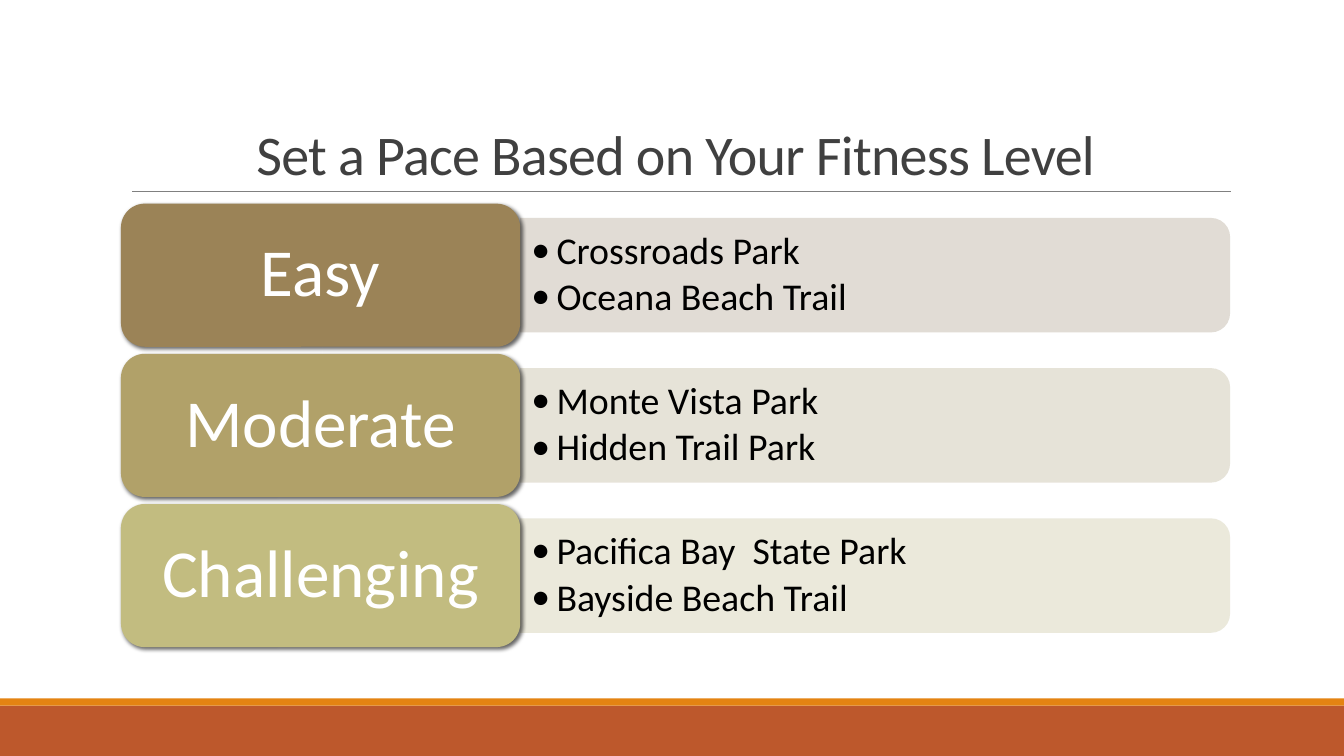
from lxml import etree
from pptx import Presentation
from pptx import util as u
from pptx.dml import color
from pptx.enum import shapes, text
from pptx.oxml import ns

WIDE, HIGH = 13.33, 7.5
FONT = "Calibri"
LEVELS = [
    ("Easy", "9B8357", "DED9D1", ["Crossroads Park", "Oceana Beach Trail"]),
    ("Moderate", "B1A169", "E4E0D4", ["Monte Vista Park", "Hidden Trail Park"]),
    ("Challenging", "C2BC80", "E9E7D8", ["Pacifica Bay  State Park", "Bayside Beach Trail"]),
]


def rgb(code):
    return color.RGBColor.from_string(code)


def add(node, tag, **attrs):
    return etree.SubElement(node, ns.qn(tag), attrs)


def block(slide, kind, box, fill):
    shape = slide.shapes.add_shape(kind, *map(u.Inches, box))
    shape.shadow.inherit = False
    shape.fill.solid()
    shape.fill.fore_color.rgb = rgb(fill)
    shape.line.fill.background()
    return shape


def style(para, size, code):
    para.line_spacing = 0.9
    for run in para.runs:
        run.font.name = FONT
        run.font.size = u.Pt(size)
        run.font.color.rgb = rgb(code)


def setup(frame, side, edge):
    frame.word_wrap = True
    frame.auto_size = text.MSO_AUTO_SIZE.NONE
    frame.vertical_anchor = text.MSO_ANCHOR.MIDDLE
    frame.margin_left = frame.margin_right = u.Inches(side)
    frame.margin_top = frame.margin_bottom = u.Inches(edge)


def footer(slide, top):
    rect = shapes.MSO_SHAPE.RECTANGLE
    block(slide, rect, (0, top + 0.07, WIDE, HIGH - top - 0.07), "BD582C")
    block(slide, rect, (0, top, WIDE, 0.07), "E48312")


def header(slide, left, top, width, height):
    title = slide.shapes.title
    title.left, title.top = u.Inches(left), u.Inches(top)
    title.width, title.height = u.Inches(width), u.Inches(height)
    frame = title.text_frame
    frame.text = "Set a Pace Based on Your Fitness Level"
    setup(frame, 0.1, 0.05)
    frame.vertical_anchor = text.MSO_ANCHOR.BOTTOM
    para = frame.paragraphs[0]
    para.alignment = text.PP_ALIGN.CENTER
    style(para, 40, "404040")
    para.line_spacing = 0.85
    para.runs[0].font._element.set("spc", "-50")
    base = u.Inches(top + height)
    rule = slide.shapes.add_connector(
        shapes.MSO_CONNECTOR.STRAIGHT, u.Inches(left + 0.11), base, u.Inches(left + width + 0.01), base)
    rule.line.color.rgb = rgb("808080")
    rule.line.width = u.Pt(0.5)
    add(rule._element.spPr, "a:effectLst")


def panel(slide, left, top, width, height, fill):
    box = (left + (width - height) / 2, top + (height - width) / 2, height, width)
    shape = block(slide, shapes.MSO_SHAPE.ROUND_2_SAME_RECTANGLE, box, fill)
    shape.rotation = 90
    tint = shape._element.spPr.find(".//" + ns.qn("a:srgbClr"))
    add(tint, "a:alpha", val="90000")


def trails(slide, left, top, width, height, names):
    box = slide.shapes.add_textbox(*map(u.Inches, (left, top, width, height)))
    frame = box.text_frame
    frame.text = "\n".join(names)
    setup(frame, 0.11, 0.06)
    for para in frame.paragraphs:
        props = para._p.get_or_add_pPr()
        props.set("marL", str(u.Inches(0.25)))
        props.set("indent", str(-u.Inches(0.25)))
        add(props, "a:buFont", typeface=FONT)
        add(props, "a:buChar", char="•")
        para.level = 1
        para.space_after = u.Pt(4)
        style(para, 27, "000000")


def label(slide, left, top, width, height, name, fill):
    shape = block(slide, shapes.MSO_SHAPE.ROUNDED_RECTANGLE, (left, top, width, height), fill)
    effect = shape._element.spPr.find(ns.qn("a:effectLst"))
    shade = add(effect, "a:outerShdw", blurRad=str(u.Pt(3)), dist=str(u.Pt(2)),
                dir="2700000", algn="ctr", rotWithShape="0")
    add(add(shade, "a:srgbClr", val="000000"), "a:alpha", val="60000")
    frame = shape.text_frame
    frame.text = name
    setup(frame, 0.27, 0.17)
    para = frame.paragraphs[0]
    para.alignment = text.PP_ALIGN.CENTER
    style(para, 48, "FFFFFF")


def level(slide, left, top, width, height, item):
    name, fill, pale, names = item
    split = width * 0.36
    inset = height * 0.1
    panel(slide, left + split, top + inset, width - split, height - 2 * inset, pale)
    trails(slide, left + split, top + 0.2, width - split - 0.06, height - 0.4, names)
    label(slide, left, top, split, height, name, fill)


def main():
    deck = Presentation()
    deck.slide_width, deck.slide_height = u.Inches(WIDE), u.Inches(HIGH)
    slide = deck.slides.add_slide(deck.slide_layouts[5])
    footer(slide, 6.93)
    header(slide, 1.2, 0.31, 11, 1.59)
    for row, item in enumerate(LEVELS):
        level(slide, 1.2, 2.02 + row * 1.49, 11, 1.42, item)
    deck.save("out.pptx")


if __name__ == "__main__":
    main()
